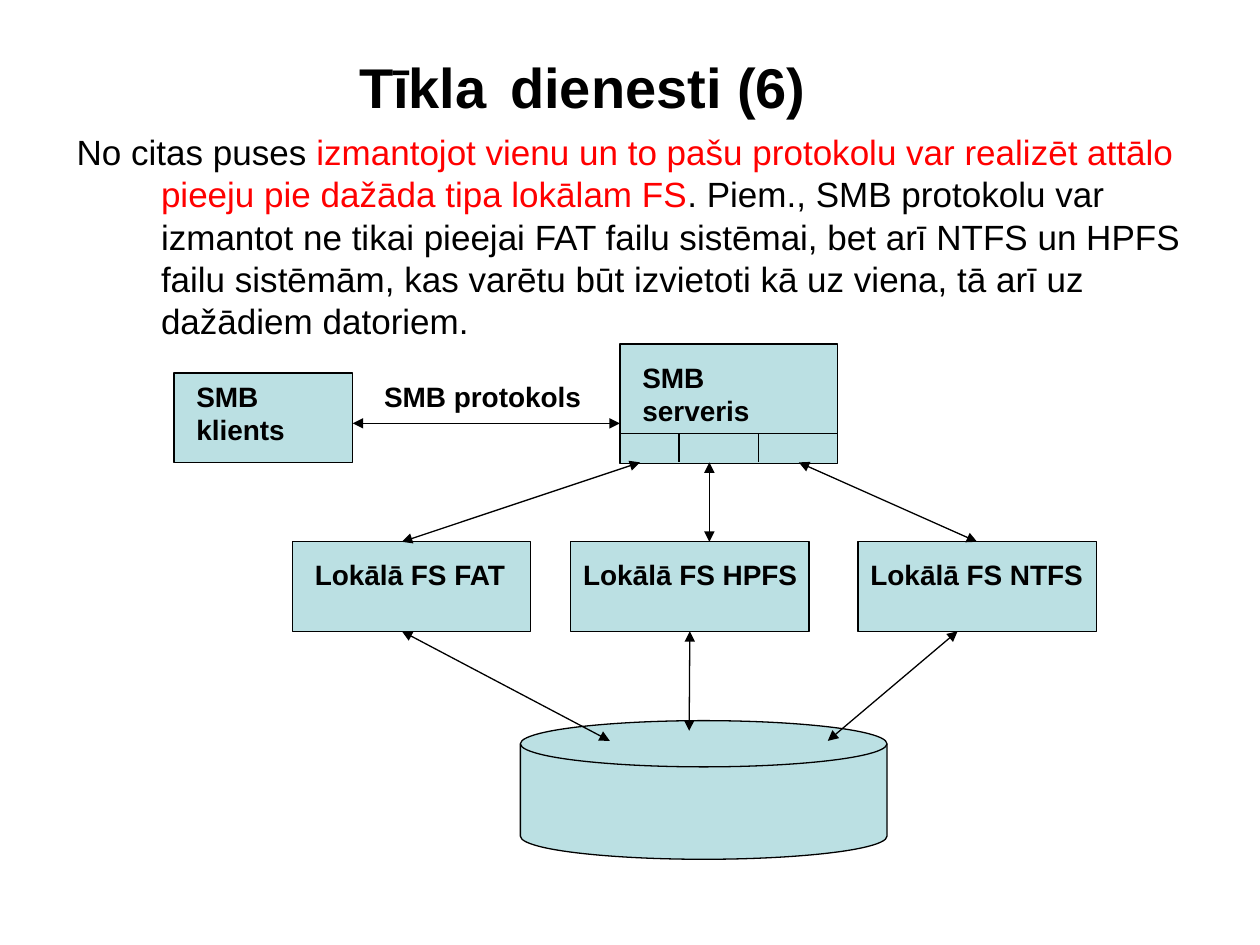
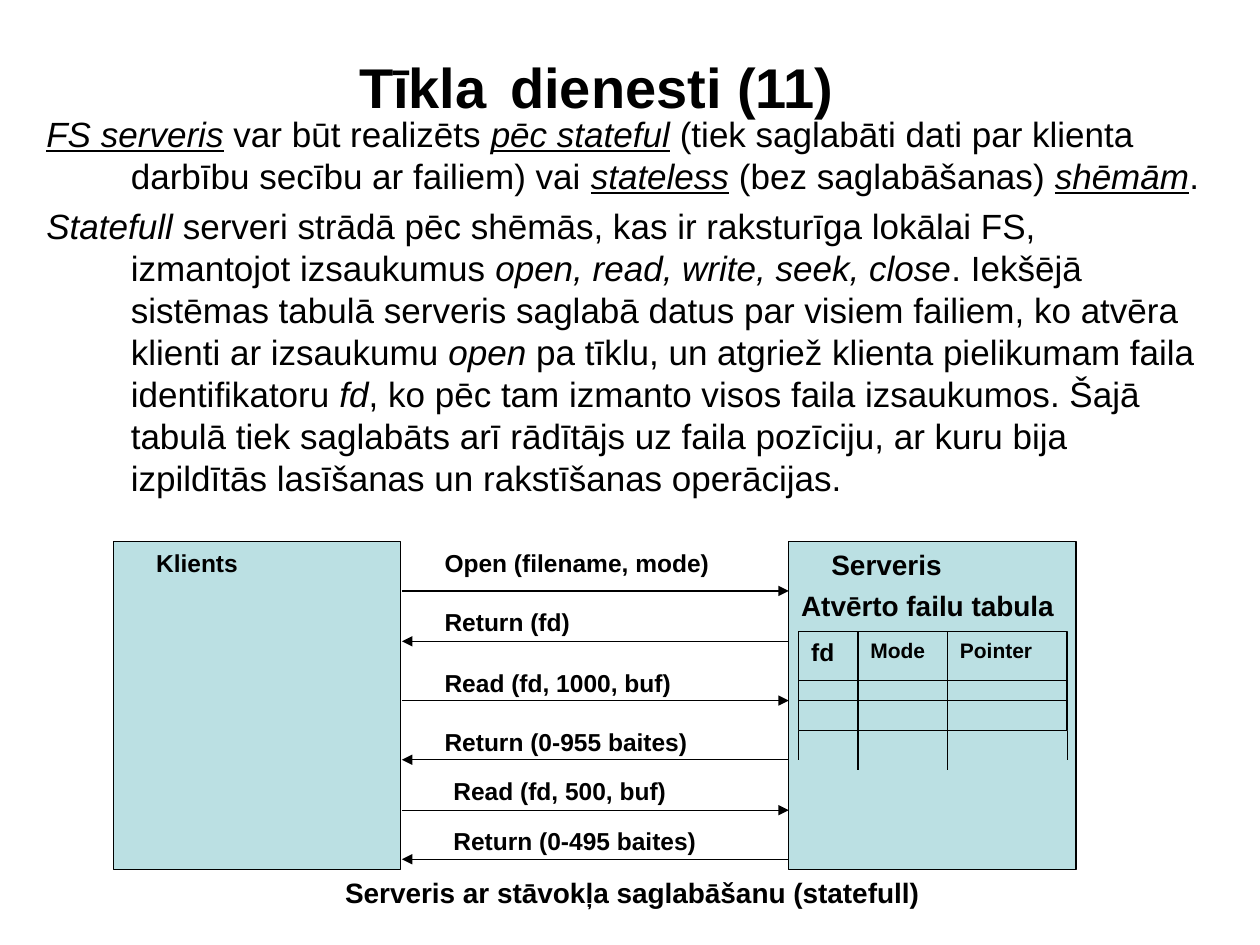
import pptx
import pptx.util
import pptx.dml.color
import pptx.enum.shapes
import pptx.enum.text
import pptx.oxml
import pptx.oxml.ns

Inches = pptx.util.Inches
Pt = pptx.util.Pt
SHAPE = pptx.enum.shapes.MSO_SHAPE
COLORS = {"text": "000000", "accent": "FF0000", "fill": "BBE0E3", "line": "000000"}
FONT = "Arial"


def rgb(name):
    return pptx.dml.color.RGBColor.from_string(COLORS[name])


def format_run(r, size, bold=False, italic=False, underline=False, color="text"):
    r.font.name = FONT
    r.font.size = Pt(size)
    r.font.bold = bold
    r.font.italic = italic
    r.font.underline = underline
    r.font.color.rgb = rgb(color)


# Slide with its title; the tall space sets the height of the title line
def add_titled_slide(prs, number):
    s = prs.slides.add_slide(prs.slide_layouts[5])
    title = s.shapes.title
    title.left, title.top = Inches(2.75), Inches(0.28)
    title.width, title.height = Inches(6.11), Inches(0.63)
    tf = title.text_frame
    tf.auto_size = pptx.enum.text.MSO_AUTO_SIZE.NONE
    tf.vertical_anchor = pptx.enum.text.MSO_ANCHOR.MIDDLE
    p = tf.paragraphs[0]
    p.alignment = pptx.enum.text.PP_ALIGN.LEFT
    for text, size in (("Tīkla", 32), (" ", 48), (f"dienesti ({number})", 32)):
        r = p.add_run()
        r.text = text
        format_run(r, size, bold=True)
    return s


def add_textbox(s, left, top, width, height):
    box = s.shapes.add_textbox(Inches(left), Inches(top), Inches(width), Inches(height))
    box.text_frame.word_wrap = True
    return box.text_frame


# Paragraphs with a hanging indent, each a list of (text, run format)
def add_body(s, left, top, width, height, paragraphs):
    tf = add_textbox(s, left, top, width, height)
    for i, runs in enumerate(paragraphs):
        p = tf.add_paragraph() if i else tf.paragraphs[0]
        pPr = p._p.get_or_add_pPr()
        pPr.set("marL", str(Inches(0.67)))
        pPr.set("indent", str(-Inches(0.67)))
        if i:
            p.space_before = Pt(5)
        for text, style in runs:
            r = p.add_run()
            r.text = text
            format_run(r, 20, **style)


def add_label(s, text, left, top, width, size=16, height=0.37):
    tf = add_textbox(s, left, top, width, height)
    tf.text = text
    format_run(tf.paragraphs[0].runs[0], size, bold=True)


def add_box(s, left, top, width, height, shape=SHAPE.RECTANGLE):
    sp = s.shapes.add_shape(shape, Inches(left), Inches(top), Inches(width), Inches(height))
    sp.shadow.inherit = False
    sp.fill.solid()
    sp.fill.fore_color.rgb = rgb("fill")
    sp.line.color.rgb = rgb("line")
    sp.line.width = Pt(0.75)
    return sp


def add_line(s, x1, y1, x2, y2, arrows=()):
    """arrows: any of "headEnd" (start) and "tailEnd" (finish), in that order."""
    line = s.shapes.add_connector(pptx.enum.shapes.MSO_CONNECTOR.STRAIGHT,
                                  Inches(x1), Inches(y1), Inches(x2), Inches(y2))
    line.line.color.rgb = rgb("line")
    line.line.width = Pt(0.75)
    ln = line.line._get_or_add_ln()
    for end in arrows:
        arrow = pptx.oxml.parse_xml(f'<a:{end} {pptx.oxml.ns.nsdecls("a")} type="triangle"/>')
        ln.append(arrow)
    effects = pptx.oxml.parse_xml(f'<a:effectLst {pptx.oxml.ns.nsdecls("a")}/>')
    line._element.spPr.append(effects)
    return line


def add_double_arrow(s, x1, y1, x2, y2):
    return add_line(s, x1, y1, x2, y2, ("headEnd", "tailEnd"))


def build_protocol_slide(prs):
    s = add_titled_slide(prs, 6)
    add_body(s, 0.51, 0.99, 9.06, 5.75, [[
        ("No citas puses ", {}),
        ("izmantojot vienu un to pašu protokolu var realizēt attālo pieeju pie dažāda "
         "tipa lokālam FS", {"color": "accent"}),
        (". Piem., SMB protokolu var izmantot ne tikai pieejai FAT failu sistēmai, bet "
         "arī NTFS un HPFS failu sistēmām, kas varētu būt izvietoti kā uz viena, tā arī "
         "uz dažādiem datoriem.", {}),
    ]])

    # Client and server, the server with three ports
    add_box(s, 1.38, 2.96, 1.42, 0.71)
    add_box(s, 4.92, 2.73, 1.73, 0.95)
    add_line(s, 4.92, 3.44, 6.65, 3.44)
    for x in (5.39, 6.02):
        add_line(s, x, 3.44, x, 3.67)
    add_label(s, "SMB klients", 1.46, 2.96, 1.26, height=0.64)
    add_label(s, "SMB serveris", 5, 2.81, 1.5, height=0.64)
    add_label(s, "SMB protokols", 2.95, 2.96, 1.81)
    add_double_arrow(s, 2.8, 3.36, 4.92, 3.36)

    # Local file systems above the disk
    add_box(s, 4.13, 5.72, 2.91, 1.1, SHAPE.FLOWCHART_MAGNETIC_DISK)
    file_systems = {}
    for name, left, label_left in (("FAT", 2.32, 2.4), ("HPFS", 4.53, 4.53),
                                   ("NTFS", 6.81, 6.81)):
        file_systems[name] = add_box(s, left, 4.3, 1.89, 0.71)
        add_label(s, f"Lokālā FS {name}", label_left, 4.38, 2.05)

    # Server to file systems, file systems to disk
    add_double_arrow(s, 5.08, 3.67, 3.19, 4.3)
    add_double_arrow(s, 5.63, 3.67, 5.63, 4.3)
    add_double_arrow(s, 6.34, 3.67, 7.76, 4.3).end_connect(file_systems["NTFS"], 0)
    add_double_arrow(s, 3.19, 5.01, 4.84, 5.88)
    add_double_arrow(s, 5.47, 5.01, 5.47, 5.8).begin_connect(file_systems["HPFS"], 2)
    add_double_arrow(s, 7.6, 5.01, 6.57, 5.88)


def build_stateful_slide(prs):
    s = add_titled_slide(prs, 11)
    italic = {"italic": True}
    term = {"italic": True, "underline": True}
    add_body(s, 0.27, 0.84, 9.37, 6.3, [
        [("FS serveris", term), (" var būt realizēts ", {}), ("pēc stateful", term),
         (" (tiek saglabāti dati par klienta darbību secību ar failiem) vai ", {}),
         ("stateless", term), (" (bez saglabāšanas) ", {}), ("shēmām", term), (".", {})],
        [("Statefull", italic),
         (" serveri strādā pēc shēmās, kas ir raksturīga lokālai FS, izmantojot "
          "izsaukumus ", {}),
         ("open, read, write, seek, close", italic),
         (". Iekšējā sistēmas tabulā serveris saglabā datus par visiem failiem, ko "
          "atvēra klienti ar izsaukumu ", {}),
         ("open", italic),
         (" pa tīklu, un atgriež klienta pielikumam faila identifikatoru ", {}),
         ("fd", italic),
         (", ko pēc tam izmanto visos faila izsaukumos. Šajā tabulā tiek saglabāts arī "
          "rādītājs uz faila pozīciju, ar kuru bija izpildītās lasīšanas un rakstīšanas "
          "operācijas.", {})],
    ])

    # Client and server
    client_right, server_left = 3.19, 6.26
    for left in (0.9, server_left):
        add_box(s, left, 4.3, 2.28, 2.6)
    add_label(s, "Klients", 1.14, 4.3, 1.81, 14, 0.34)
    add_label(s, "Serveris", 6.5, 4.3, 1.81)
    add_label(s, "Atvērto failu tabula", server_left, 4.62, 2.44)

    # Sketch of the open-file table, left open at the bottom
    left, right, top, bottom = 6.34, 8.47, 5.01, 5.8
    add_box(s, left, top, right - left, bottom - top)
    for x in (6.81, 7.52):
        add_line(s, x, top, x, 6.11)
    for y in (5.4, 5.56):
        add_line(s, left, y, right, y)
    for x in (left, right):
        add_line(s, x, bottom, x, 6.03)
    for text, x, width, size in (("fd", left, 0.47, 14), ("Mode", 6.81, 0.71, 12),
                                 ("Pointer", 7.52, 1.02, 12)):
        add_label(s, text, x, top, width, size, 0.3)

    # Calls go to the server, returns come back
    messages = [
        ("Open (filename, mode)", 3.43, 4.3, 4.69),
        ("Return (fd)", 3.43, 4.77, 5.09),
        ("Read (fd, 1000, buf)", 3.43, 5.25, 5.56),
        ("Return (0-955 baites)", 3.43, 5.72, 6.03),
        ("Read (fd, 500, buf)", 3.5, 6.11, 6.43),
        ("Return (0-495 baites)", 3.5, 6.51, 6.82),
    ]
    for text, label_left, label_top, y in messages:
        start, end = client_right, server_left
        if text.startswith("Return"):
            start, end = end, start
        add_line(s, start, y, end, y, ("tailEnd",))
        add_label(s, text, label_left, label_top, 2.6, 14, 0.34)
    add_label(s, "Serveris ar stāvokļa saglabāšanu (statefull)", 2.64, 6.9, 5.28)


def main():
    prs = pptx.Presentation()
    prs.slide_width, prs.slide_height = Inches(10), Inches(7.5)
    build_protocol_slide(prs)
    build_stateful_slide(prs)
    prs.save("out.pptx")


if __name__ == "__main__":
    main()
